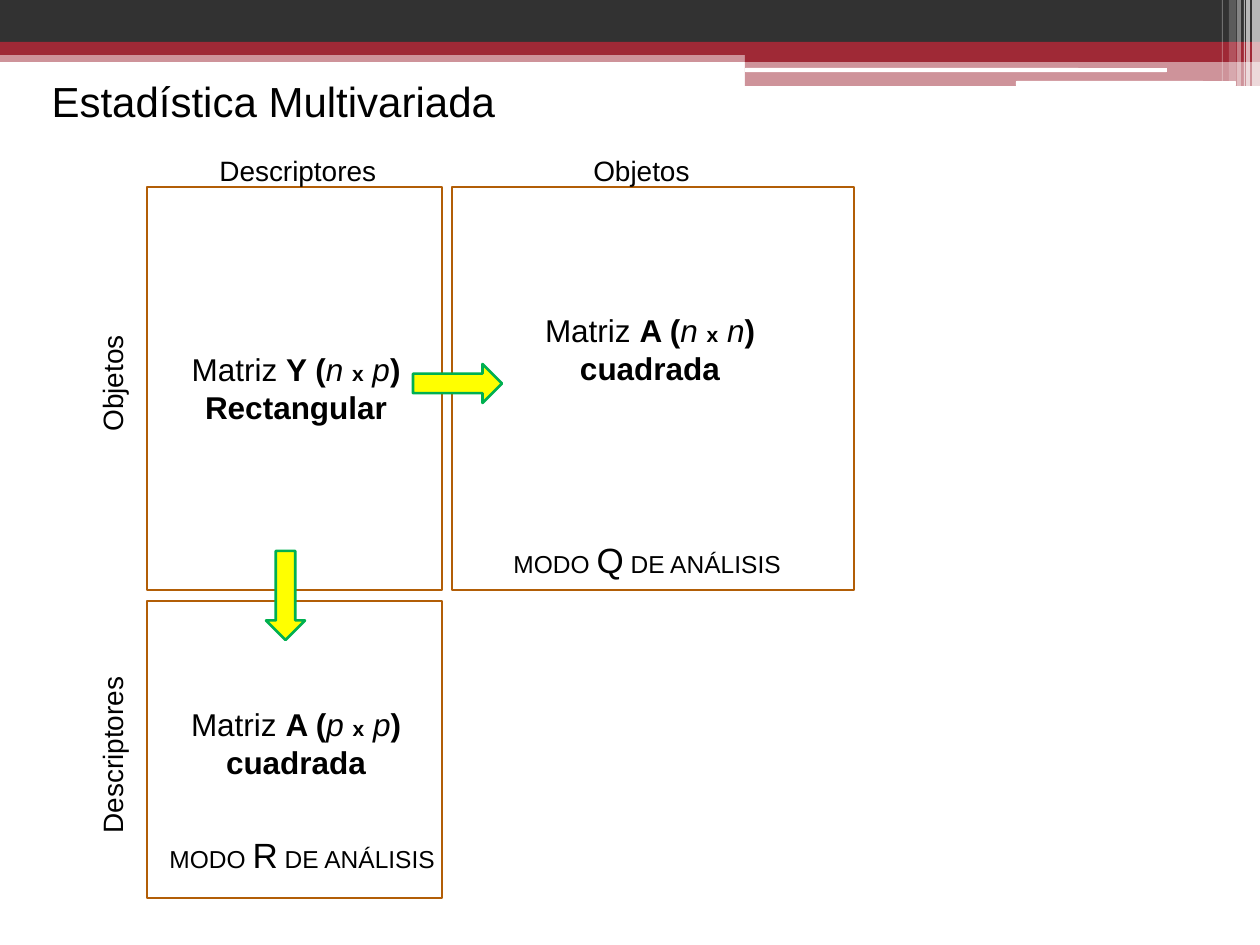
from lxml.etree import SubElement
from pptx import Presentation
from pptx.dml.color import RGBColor
from pptx.enum.shapes import MSO_SHAPE
from pptx.enum.text import MSO_ANCHOR, PP_ALIGN
from pptx.oxml.ns import qn
from pptx.util import Emu, Pt

EMU_PER_PX = 914400 / 126
FONT = "Arial"
BLACK = RGBColor(0x00, 0x00, 0x00)
WHITE = RGBColor(0xFF, 0xFF, 0xFF)
CHARCOAL = RGBColor(0x32, 0x32, 0x32)
CRIMSON = RGBColor(0x9F, 0x29, 0x36)
BROWN = RGBColor(0xB2, 0x5E, 0x07)
YELLOW = RGBColor(0xFF, 0xFF, 0x00)
GREEN = RGBColor(0x00, 0xB0, 0x50)

BANDS = [
    ((0, 50, 1260, 12), CRIMSON, 50),
    ((0, 0, 1260, 43), CHARCOAL, 100),
    ((0, 42, 1260, 13), CRIMSON, 100),
    ((745, 49, 515, 13), CRIMSON, 100),
    ((745, 61, 515, 25), CRIMSON, 50),
]
HIGHLIGHTS = [(745, 68, 422, 4), (1016, 81, 220, 5)]
STRIPES = [
    (1252, 8, 86, 65), (1246, 4, 86, 65), (1244, 1, 86, 60),
    (1237, 4, 86, 40), (1229, 7, 81, 20), (1222, 1, 81, 30),
]
MATRIX_FRAMES = [(147, 187, 295, 403), (452, 187, 402, 403), (147, 601, 295, 297)]
MATRIX_LABELS = [
    (168, 344, "Y", "n", "p", "Rectangular"),
    (522, 305, "A", "n", "n", "cuadrada"),
    (168, 699, "A", "p", "p", "cuadrada"),
]
AXIS_LABELS = [
    ((207, 147, 207, 47), "Descriptores", 0),
    ((28, 336, 169, 47), "Objetos", 270),
    ((9, 719, 207, 47), "Descriptores", 270),
    ((581, 147, 129, 47), "Objetos", 0),
]
ARROWS = [(413, 364, 0), (241, 576, 90)]
MODES = [(501, 532, "Q"), (157, 827, "R")]


def px(length):
    return Emu(round(length * EMU_PER_PX))


def add_shape(slide, preset, box, fill=None, alpha=100, line=None):
    shape = slide.shapes.add_shape(preset, *map(px, box))
    shape.shadow.inherit = False
    if fill is None:
        shape.fill.background()
    else:
        shape.fill.solid()
        shape.fill.fore_color.rgb = fill
    if alpha < 100:
        color = shape.fill._xPr.find(qn("a:solidFill"))[0]
        SubElement(color, qn("a:alpha")).set("val", str(alpha * 1000))
    if line is None:
        shape.line.fill.background()
    else:
        shape.line.color.rgb = line
        shape.line.width = Pt(1.5)
    return shape


def add_run(paragraph, text, size, bold=False, italic=False):
    run = paragraph.add_run()
    run.text = text
    font = run.font
    font.name, font.size = FONT, Pt(size)
    font.bold, font.italic = bold, italic
    font.color.rgb = BLACK


def add_text(slide, box, lines, align=PP_ALIGN.LEFT, rotation=0):
    label = slide.shapes.add_textbox(*map(px, box))
    label.rotation = rotation
    frame = label.text_frame
    frame.word_wrap = True
    for index, runs in enumerate(lines):
        paragraph = frame.add_paragraph() if index else frame.paragraphs[0]
        paragraph.alignment = align
        for run in runs:
            add_run(paragraph, *run)


def set_title(slide, text):
    title = slide.shapes.title
    title.left, title.top, title.width, title.height = map(px, (39, 69, 483, 64))
    frame = title.text_frame
    frame.word_wrap = True
    frame.vertical_anchor = MSO_ANCHOR.MIDDLE
    frame.paragraphs[0].alignment = PP_ALIGN.LEFT
    add_run(frame.paragraphs[0], text, 24)


def add_header(slide):
    for box, color, alpha in BANDS:
        add_shape(slide, MSO_SHAPE.RECTANGLE, box, color, alpha)
    for box in HIGHLIGHTS:
        add_shape(slide, MSO_SHAPE.ROUNDED_RECTANGLE, box, WHITE)
    for left, width, height, alpha in STRIPES:
        add_shape(slide, MSO_SHAPE.RECTANGLE, (left, 0, width, height), WHITE, alpha)


def add_matrix_label(slide, left, top, matrix, rows, columns, form):
    dimensions = [
        ("Matriz ", 18), (f"{matrix} (", 18, True), (f"{rows} ", 18, False, True),
        ("x", 12, True), (" ", 18, True), (columns, 18, False, True), (")", 18, True),
    ]
    add_text(slide, (left, top, 256, 89), [dimensions, [(form, 18, True)]],
             PP_ALIGN.CENTER)


def add_mode(slide, left, top, mode):
    runs = [("MODO ", 14), (mode, 20), (" DE ANÁLISIS", 14)]
    add_text(slide, (left, top, 354, 55), [runs])


def add_arrow(slide, left, top, rotation):
    arrow = add_shape(slide, MSO_SHAPE.RIGHT_ARROW, (left, top, 89, 39),
                      YELLOW, line=GREEN)
    arrow.rotation = rotation


def main():
    presentation = Presentation()
    presentation.slide_width, presentation.slide_height = px(1260), px(945)
    slide = presentation.slides.add_slide(presentation.slide_layouts[5])
    add_header(slide)
    set_title(slide, "Estadística Multivariada")
    for box in MATRIX_FRAMES:
        add_shape(slide, MSO_SHAPE.RECTANGLE, box, line=BROWN)
    for label in MATRIX_LABELS:
        add_matrix_label(slide, *label)
    for box, text, rotation in AXIS_LABELS:
        add_text(slide, box, [[(text, 16)]], rotation=rotation)
    for arrow in ARROWS:
        add_arrow(slide, *arrow)
    for mode in MODES:
        add_mode(slide, *mode)
    presentation.save("out.pptx")


if __name__ == "__main__":
    main()
